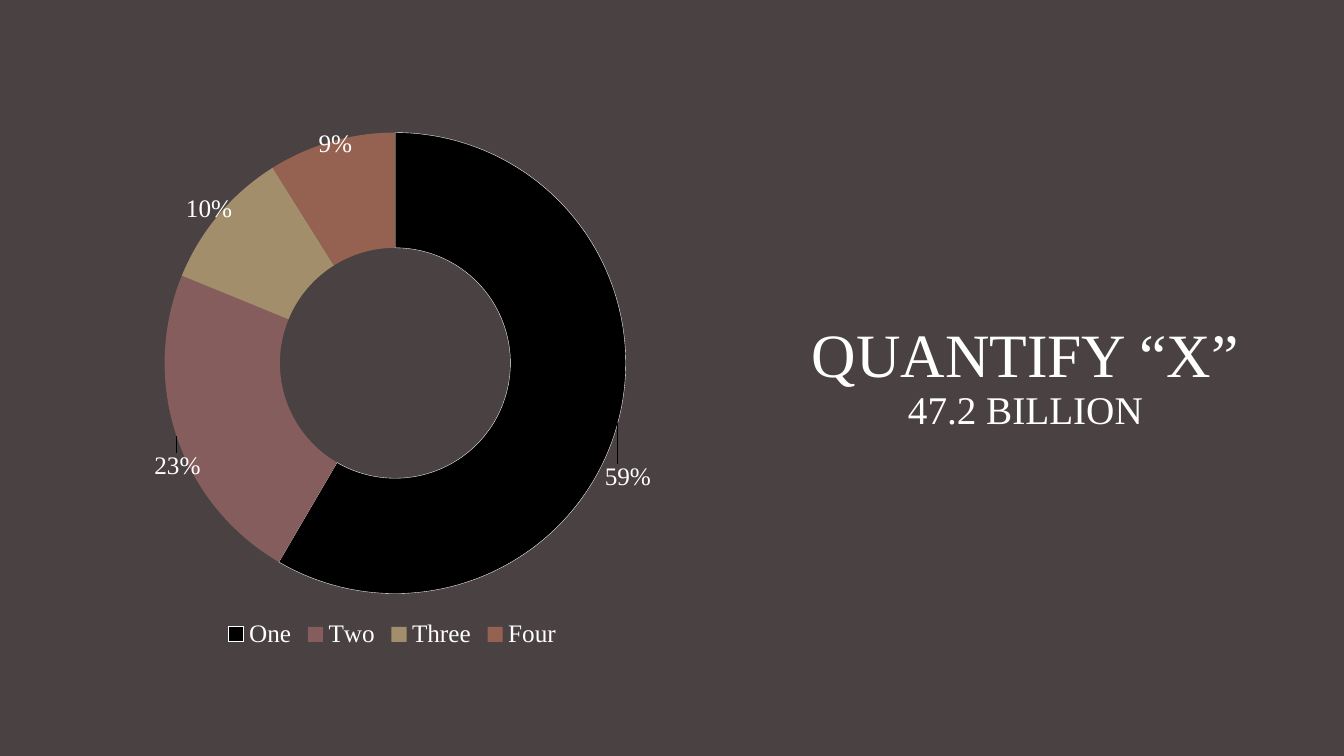
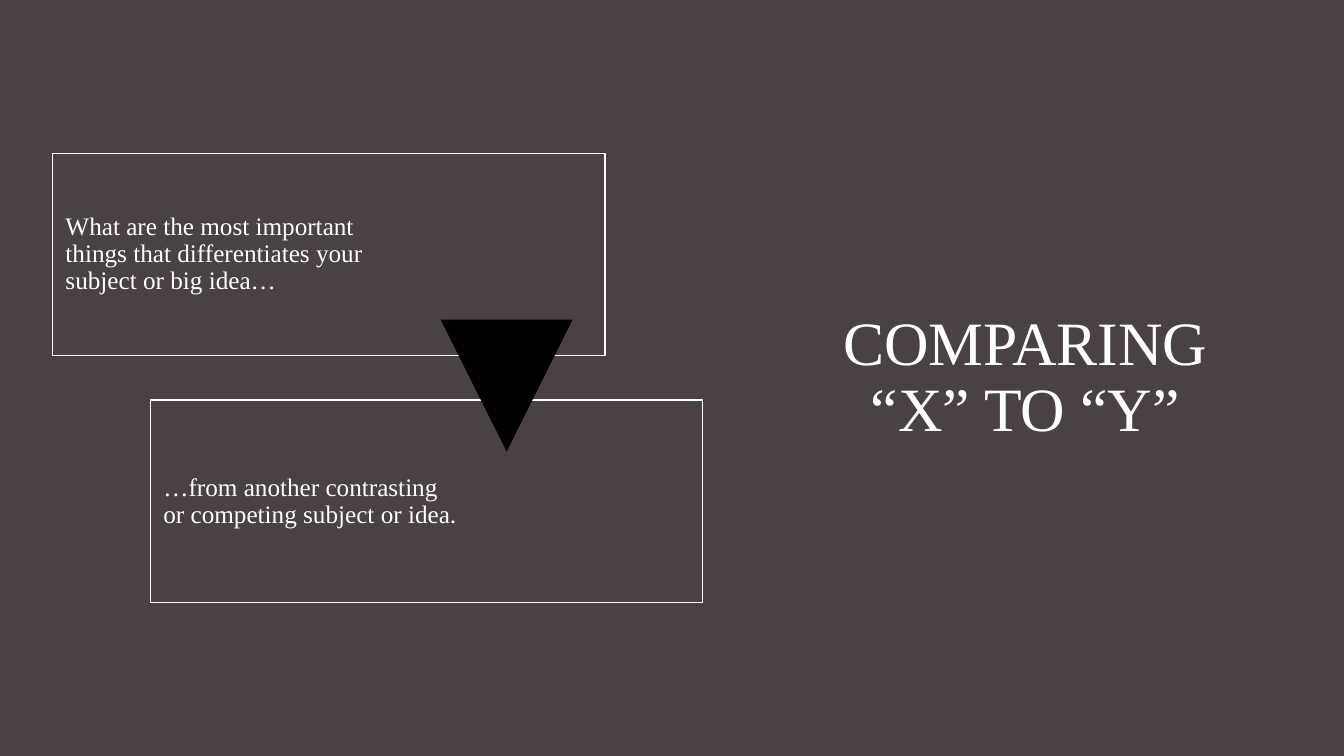
from copy import deepcopy
from dataclasses import dataclass

from lxml import etree
from pptx import Presentation
from pptx.chart.data import CategoryChartData
from pptx.dml.color import RGBColor
from pptx.enum import chart as charts, shapes, text
from pptx.oxml import ns
from pptx.util import Inches, Pt

FONT = "Times New Roman"
COLORS = {
    "background": "494142",
    "white": "FFFFFF",
    "black": "000000",
    "rose": "855D5D",
    "sand": "A28E6A",
    "rust": "956251",
}
TITLE_SIZE, SUBTITLE_SIZE, BODY_SIZE = 44, 28, 18
LINE_SPACING = 0.9
FRAME_WIDTH, FRAME_HEIGHT, FRAME_PADDING = 5.48, 2.01, 0.06
TEXT_INSET = 0.07


@dataclass(frozen=True)
class Span:
    words: str
    size: int


@dataclass(frozen=True)
class Slice:
    """A ring slice; its label shift is a fraction of the chart size."""
    name: str
    percent: int
    color: str
    shift_x: float
    shift_y: float


@dataclass(frozen=True)
class Statement:
    words: str
    left: float
    top: float
    text_width: float


SLICES = (
    Slice("One", 59, "black", 0.11, 0.13),
    Slice("Two", 23, "rose", -0.09, 0.09),
    Slice("Three", 10, "sand", -0.09, -0.08),
    Slice("Four", 9, "rust", -0.02, -0.1),
)
STATEMENTS = (
    Statement("What are the most important things that differentiates your "
              "subject or big idea…", 0.52, 1.52, 3.4),
    Statement("…from another contrasting or competing subject or idea.",
              1.49, 3.97, 3.09),
)


def color(name: str) -> RGBColor:
    return RGBColor.from_string(COLORS[name])


def style_font(font, size: int) -> None:
    font.name = FONT
    font.size = Pt(size)
    font.color.rgb = color("white")


def add_span(para, span: Span) -> None:
    run = para.add_run()
    run.text = span.words
    style_font(run.font, span.size)


def add_titled_page(deck, *lines: Span):
    """Add a page whose title stands at the right, one span per line."""
    page = deck.slides.add_slide(deck.slide_layouts.get_by_name("Title Only"))
    title = page.shapes.title
    title.left, title.top = Inches(7.92), Inches(3.03)
    title.width, title.height = Inches(4.5), Inches(1.45)
    frame = title.text_frame
    frame.word_wrap = True
    frame.auto_size = text.MSO_AUTO_SIZE.NONE
    frame.vertical_anchor = text.MSO_ANCHOR.MIDDLE
    para = frame.paragraphs[0]
    para.alignment = text.PP_ALIGN.CENTER
    para.line_spacing = LINE_SPACING
    for index, line in enumerate(lines):
        if index:
            para.add_line_break()
        add_span(para, line)
    return page


def chart_element(parent, tag: str, value: object = None):
    element = etree.SubElement(parent, ns.qn(f"c:{tag}"))
    if value is not None:
        element.set("val", str(value))
    return element


def manual_layout(**settings: object):
    layout = etree.Element(ns.qn("c:layout"))
    manual = chart_element(layout, "manualLayout")
    for tag, value in settings.items():
        chart_element(manual, tag, value)
    return layout


def place_plot(chart) -> None:
    """Fix the ring's square inside the chart frame."""
    area = chart._chartSpace.chart.plotArea
    for old in area.findall(ns.qn("c:layout")):
        area.remove(old)
    area.insert(0, manual_layout(
        layoutTarget="inner", xMode="edge", yMode="edge",
        x=0.12, y=0.02, w=0.77, h=0.87))


def shift_labels(labels) -> None:
    """Move each slice's label outwards, keeping the shared label style."""
    shared = labels._element
    style = [child for child in shared
             if child.tag != ns.qn("c:showLeaderLines")]
    for index, part in enumerate(SLICES):
        label = etree.Element(ns.qn("c:dLbl"))
        chart_element(label, "idx", index)
        label.append(manual_layout(x=part.shift_x, y=part.shift_y))
        label.extend(deepcopy(style))
        shared.insert(index, label)


def add_ring_chart(page) -> None:
    data = CategoryChartData()
    data.categories = [part.name for part in SLICES]
    data.add_series("Series 1", [part.percent for part in SLICES])
    chart = page.shapes.add_chart(
        charts.XL_CHART_TYPE.DOUGHNUT, Inches(0.92), Inches(1.2),
        Inches(5.94), Inches(5.28), data).chart
    chart.has_title = False
    chart.font.name = FONT
    chart.font.size = Pt(10)
    chart.has_legend = True
    chart.legend.position = charts.XL_LEGEND_POSITION.BOTTOM
    chart.legend.include_in_layout = False
    style_font(chart.legend.font, BODY_SIZE)

    plot = chart.plots[0]
    plot.vary_by_categories = True
    plot._element.find(ns.qn("c:holeSize")).set("val", "75")
    series = plot.series[0]
    for index, part in enumerate(SLICES):
        look = series.points[index].format
        look.fill.solid()
        look.fill.fore_color.rgb = color(part.color)
        if part.color == "black":
            look.line.color.rgb = color("white")
            look.line.width = Pt(0.25)
        else:
            look.line.fill.background()

    labels = series.data_labels
    labels.show_value = True
    labels.show_percentage = False
    labels.number_format = '0"%"'
    labels.number_format_is_linked = False
    style_font(labels.font, BODY_SIZE)
    shift_labels(labels)
    place_plot(chart)


def add_statement(page, statement: Statement) -> None:
    """Draw an outlined frame with its words in the left part."""
    outline = page.shapes.add_shape(
        shapes.MSO_SHAPE.RECTANGLE, Inches(statement.left),
        Inches(statement.top), Inches(FRAME_WIDTH), Inches(FRAME_HEIGHT))
    outline.shadow.inherit = False
    outline.fill.background()
    outline.line.color.rgb = color("white")
    outline.line.width = Pt(1)

    box = page.shapes.add_textbox(
        Inches(statement.left + FRAME_PADDING),
        Inches(statement.top + FRAME_PADDING),
        Inches(statement.text_width),
        Inches(FRAME_HEIGHT - 2 * FRAME_PADDING))
    frame = box.text_frame
    frame.word_wrap = True
    frame.vertical_anchor = text.MSO_ANCHOR.MIDDLE
    frame.margin_left = frame.margin_right = Inches(TEXT_INSET)
    frame.margin_top = frame.margin_bottom = Inches(TEXT_INSET)
    para = frame.paragraphs[0]
    para.line_spacing = LINE_SPACING
    add_span(para, Span(statement.words, BODY_SIZE))


def add_down_triangle(page) -> None:
    triangle = page.shapes.add_shape(
        shapes.MSO_SHAPE.ISOSCELES_TRIANGLE, Inches(4.37), Inches(3.17),
        Inches(1.31), Inches(1.31))
    triangle.rotation = 180
    triangle.shadow.inherit = False
    triangle.fill.solid()
    triangle.fill.fore_color.rgb = color("black")
    triangle.line.fill.background()


def main() -> None:
    deck = Presentation()
    deck.slide_width, deck.slide_height = Inches(13.33), Inches(7.5)
    background = deck.slide_master.background.fill
    background.solid()
    background.fore_color.rgb = color("background")

    quantity_page = add_titled_page(
        deck, Span("QUANTIFY “X”", TITLE_SIZE),
        Span("47.2 BILLION", SUBTITLE_SIZE))
    add_ring_chart(quantity_page)

    comparison_page = add_titled_page(
        deck, Span("COMPARING “X” TO “Y”", TITLE_SIZE))
    for statement in STATEMENTS:
        add_statement(comparison_page, statement)
    add_down_triangle(comparison_page)

    deck.save("out.pptx")


if __name__ == "__main__":
    main()
